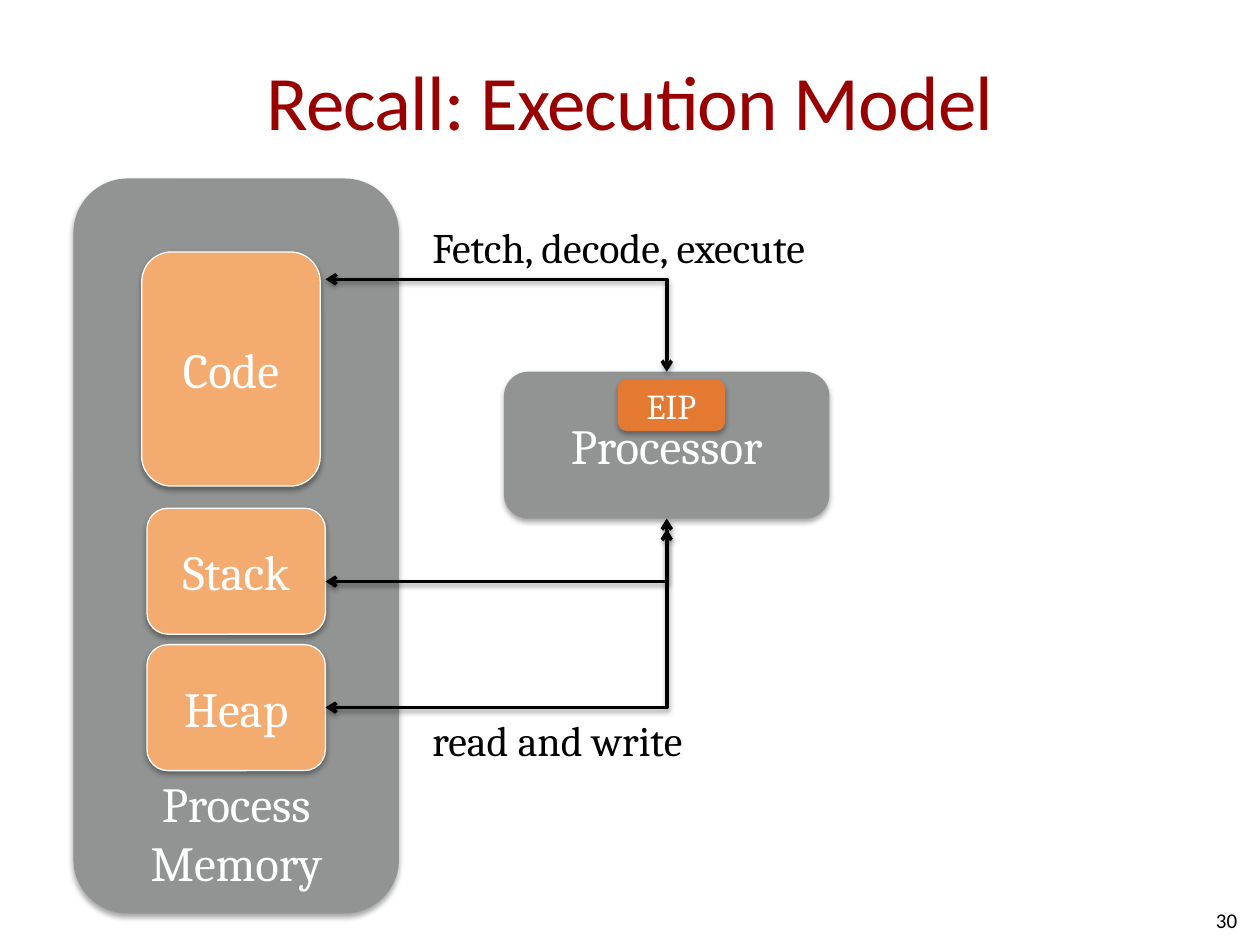
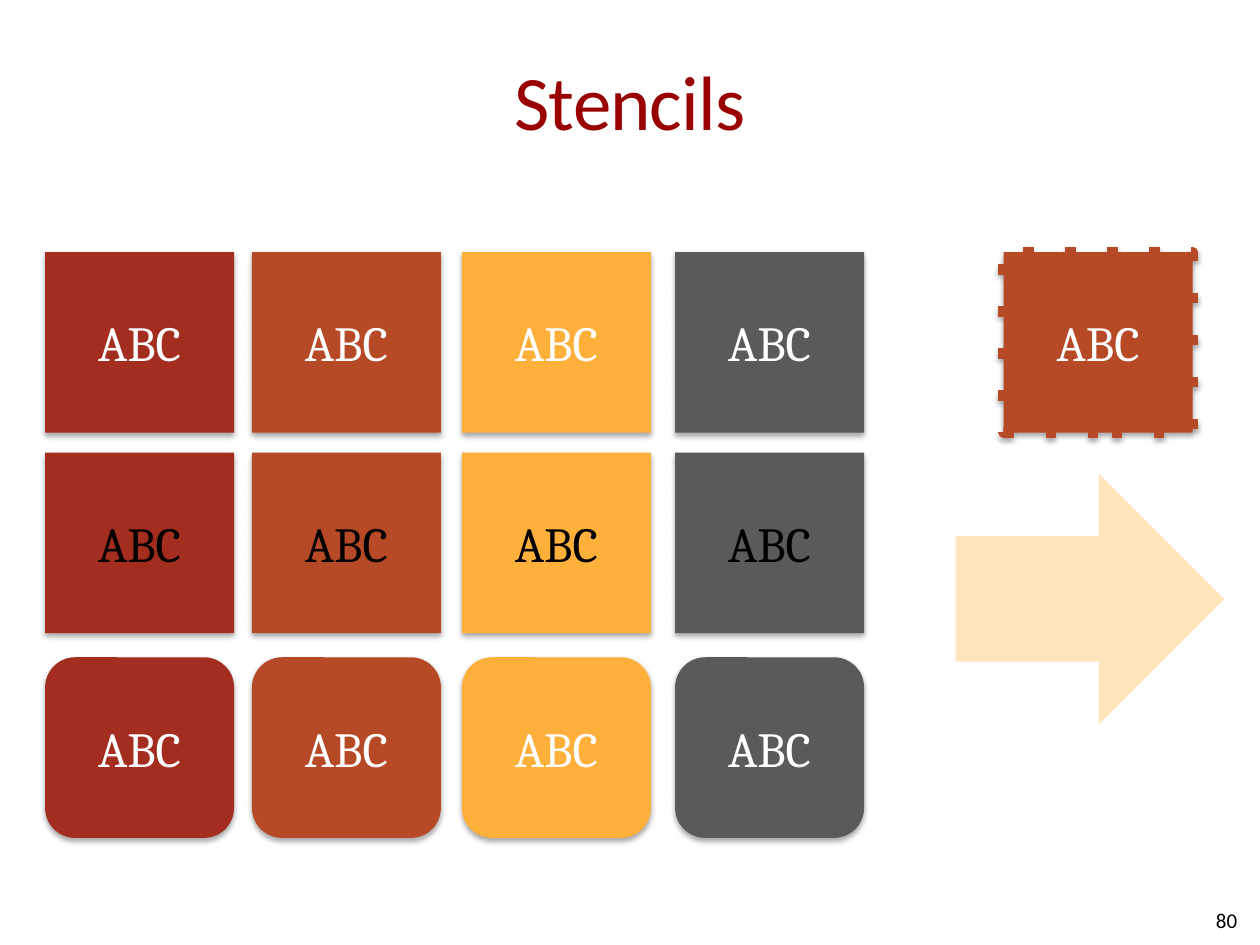
"""Build two slides: an execution model and a sheet of stencils."""
import itertools

import pptx
import pptx.dml.color
import pptx.enum.shapes
import pptx.enum.text
import pptx.oxml.ns
import pptx.util
from lxml import etree

HUES = {
    "title": "990000", "ink": "000000", "white": "FFFFFF",
    "grey": "929393", "peach": "F4AB70", "orange": "E47932",
    "red": "A32D1E", "rust": "B64926", "gold": "FFB03B", "slate": "595A5A",
}
COLS, ROWS = 120, 90
KIND = pptx.enum.shapes.MSO_SHAPE
ALIGN = pptx.enum.text.PP_ALIGN
ANCHOR = pptx.enum.text.MSO_ANCHOR


def add(node, tag, **attrs):
    """Append a drawing element to a node."""
    return etree.SubElement(node, pptx.oxml.ns.qn("a:" + tag), attrs)


def hue(name):
    """Return a named colour."""
    return pptx.dml.color.RGBColor.from_string(HUES[name])


class Deck:
    """Holds the shared style and the current slide."""

    def __init__(self):
        """Start an empty 4:3 deck."""
        self.file = pptx.Presentation()
        self.file.slide_width = pptx.util.Inches(10)
        self.file.slide_height = pptx.util.Inches(7.5)
        self.slide = None

    def place(self, *spots):
        """Turn column and row pairs into lengths."""
        sizes = (self.file.slide_width / COLS, self.file.slide_height / ROWS)
        return [round(n * size) for n, size in zip(spots, itertools.cycle(sizes))]

    def page(self, title, number):
        """Add a slide with its title and number."""
        self.slide = self.file.slides.add_slide(self.file.slide_layouts[6])
        head = self.text((6, 2, 108, 15), title, 44, "title", "Calibri",
                         ALIGN.CENTER, ANCHOR.MIDDLE)
        head.margin_left = head.margin_right = 0
        head.paragraphs[0].runs[0].font._element.set("spc", "-50")
        self.text((91, 85.2, 28, 4.8), number, 12, "ink", "Calibri",
                  ALIGN.RIGHT, ANCHOR.MIDDLE)

    def label(self, frame, words, size, tint, face, align, anchor):
        """Put styled runs in a frame, one for each line."""
        frame.vertical_anchor = anchor
        para = frame.paragraphs[0]
        para.alignment = align
        for i, line in enumerate(words.split("\n")):
            if i:
                para.add_line_break()
            run = para.add_run()
            run.text = line
            run.font.size = pptx.util.Pt(size)
            run.font.name = face
            run.font.color.rgb = hue(tint)

    def text(self, spot, words, size=24, tint="ink", face="Cambria",
             align=ALIGN.LEFT, anchor=ANCHOR.TOP, wrap=True):
        """Add a text box and return its frame."""
        frame = self.slide.shapes.add_textbox(*self.place(*spot)).text_frame
        frame.word_wrap = wrap
        self.label(frame, words, size, tint, face, align, anchor)
        return frame

    def shade(self, props, alpha, dist):
        """Give shape properties a soft shadow below."""
        glow = add(props.find(pptx.oxml.ns.qn("a:effectLst")), "outerShdw",
                   blurRad="40000", dist=str(dist), dir="5400000", rotWithShape="0")
        add(add(glow, "srgbClr", val=HUES["ink"]), "alpha", val=str(alpha * 1000))

    def shape(self, kind, spot, fill, line=None, width=0.75):
        """Add a plain filled shape."""
        shape = self.slide.shapes.add_shape(kind, *self.place(*spot))
        shape.fill.solid()
        shape.fill.fore_color.rgb = hue(fill)
        if line:
            shape.line.color.rgb = hue(line)
            shape.line.width = pptx.util.Pt(width)
        else:
            shape.line.fill.background()
        shape.shadow.inherit = False
        return shape

    def box(self, spot, words, fill, kind=KIND.ROUNDED_RECTANGLE, size=28,
            tint="white", anchor=ANCHOR.MIDDLE, **edge):
        """Add a shadowed shape with centred text."""
        shape = self.shape(kind, spot, fill, **edge)
        self.shade(shape._element.spPr, 35, 23000)
        self.label(shape.text_frame, words, size, tint, "Cambria", ALIGN.CENTER, anchor)
        return shape

    def bend(self, start, end):
        """Add a one-corner connector with two arrowheads."""
        link = self.slide.shapes.add_connector(
            pptx.enum.shapes.MSO_CONNECTOR.ELBOW, *self.place(*start, *end))
        link.line.color.rgb = hue("ink")
        link.line.width = pptx.util.Pt(2)
        props = link._element.spPr
        props.find(pptx.oxml.ns.qn("a:prstGeom")).set("prst", "bentConnector2")
        edge = props.find(pptx.oxml.ns.qn("a:ln"))
        for tip in ("headEnd", "tailEnd"):
            add(edge, tip, type="arrow")
        add(props, "effectLst")
        self.shade(props, 38, 20000)


def model(deck):
    """Draw the execution model."""
    deck.page("Recall: Execution Model", "30")
    deck.box((7, 17, 31, 70), "Process\nMemory", "grey", anchor=ANCHOR.BOTTOM)
    deck.box((48, 35.4, 31, 14), "Processor", "grey")
    for left, top, high, name in ((13.5, 24, 22.3, "Code"),
                                  (14, 48.4, 12, "Stack"),
                                  (14, 61.4, 12, "Heap")):
        deck.box((left, top, 17, high), name, "peach", line="white")
    for row, end in ((26.6, 35.4), (55.4, 50.4), (67.4, 49.4)):
        deck.bend((31, row), (63.5, end))
    deck.text((40, 20.5, 41, 6), "Fetch, decode, execute", wrap=False)
    deck.text((40, 67.5, 27.7, 6), "read and write", wrap=False)
    deck.box((58.9, 36.2, 10.1, 4.8), "EIP", "orange", size=20, line="orange")


def stencils(deck):
    """Draw the sheet of stencils."""
    deck.page("Stencils", "80")
    cols = ((4.3, "red"), (24, "rust"), (44, "gold"), (64.3, "slate"))
    rows = ((24, KIND.RECTANGLE, "white"), (43.1, KIND.RECTANGLE, "ink"),
            (62.6, KIND.ROUNDED_RECTANGLE, "white"))
    for (top, kind, tint), (left, fill) in itertools.product(rows, cols):
        deck.box((left, top, 18, 17.2), "ABC", fill, kind, tint=tint)
    dots = deck.box((95.6, 24, 18, 17.2), "ABC", "rust", KIND.RECTANGLE,
                    line="rust", width=6)
    add(dots._element.spPr.find(pptx.oxml.ns.qn("a:ln")), "prstDash", val="dot")
    arrow = deck.shape(KIND.RIGHT_ARROW, (91, 45.1, 25.6, 23.9), "gold")
    tone = arrow._element.spPr.find(".//" + pptx.oxml.ns.qn("a:srgbClr"))
    add(tone, "alpha", val="34000")


def main():
    """Build and save the deck."""
    deck = Deck()
    model(deck)
    stencils(deck)
    deck.file.save("out.pptx")


if __name__ == "__main__":
    main()
